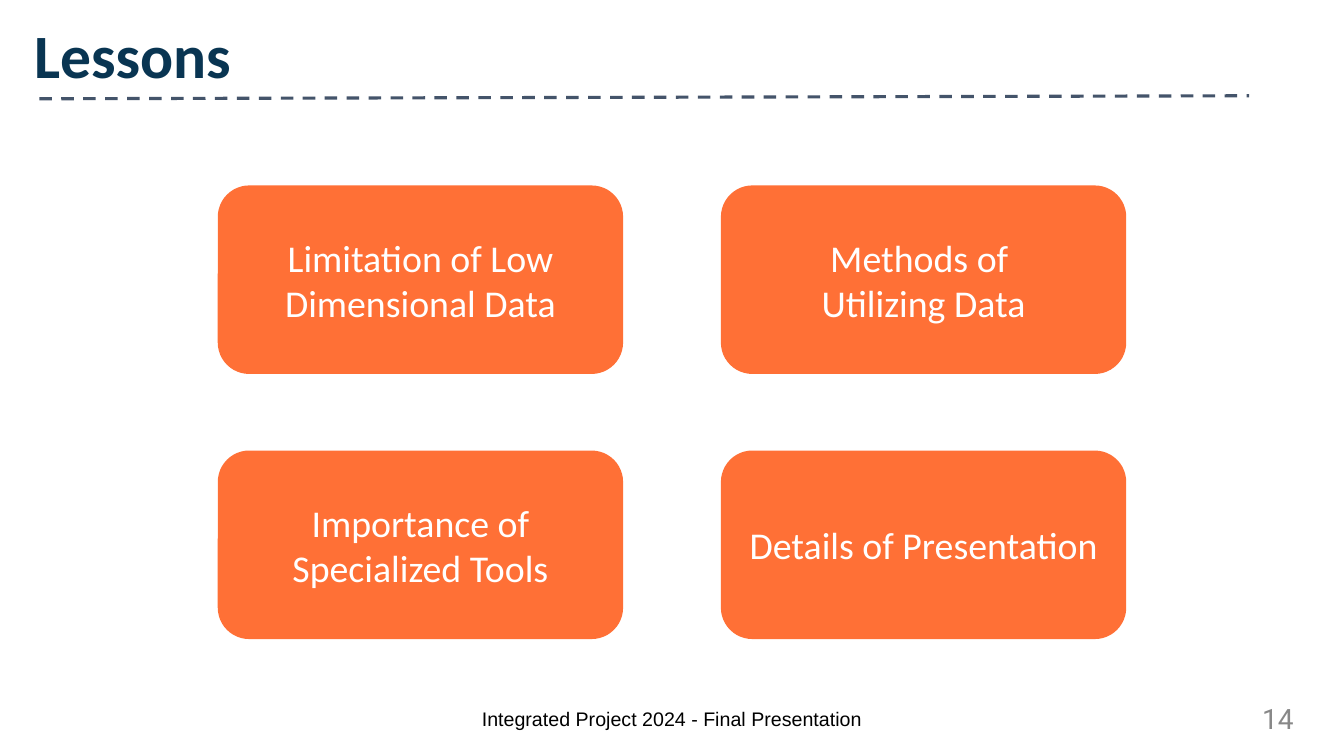
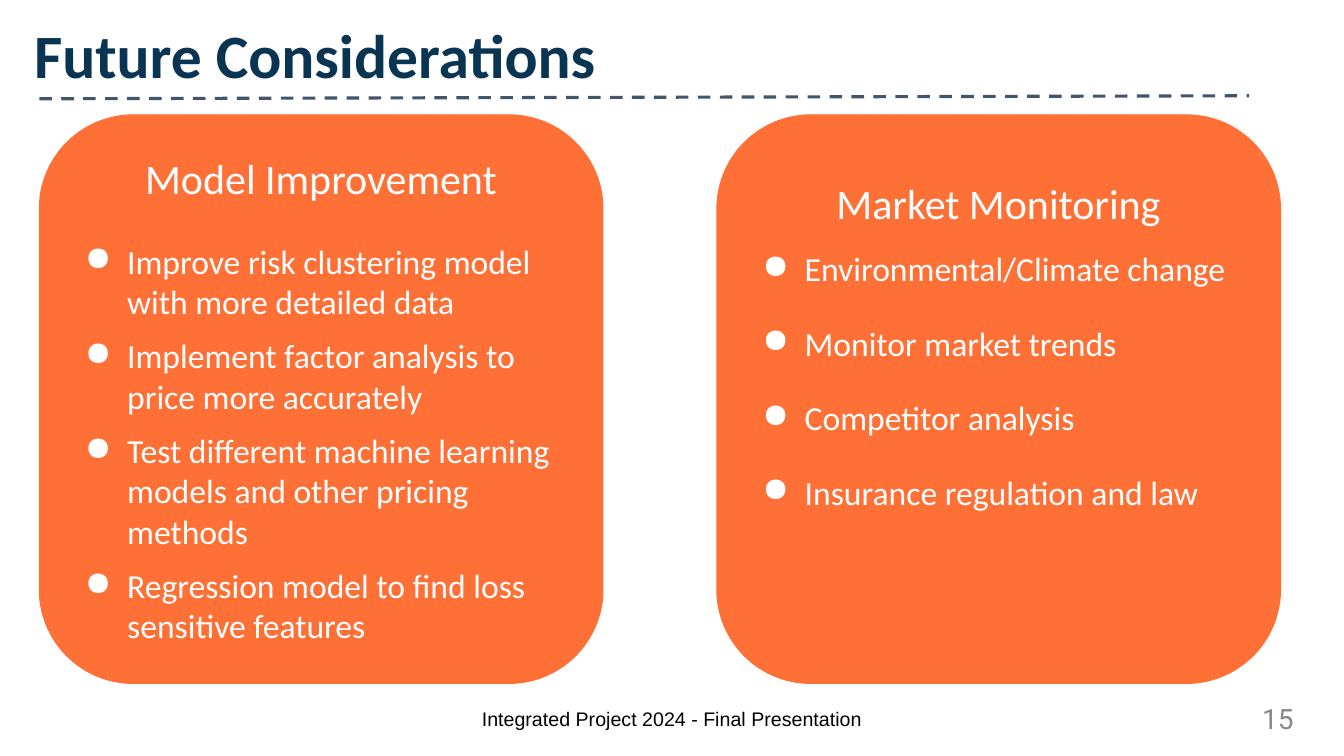
from lxml import etree
from pptx import Presentation
from pptx import util as u
from pptx.dml.color import RGBColor
from pptx.enum import dml, shapes, text
from pptx.oxml.ns import qn

PX = u.Inches(1) // 100
WIDTH, HEIGHT = 1333, 750
NAVY, SLATE, ORANGE = "093552", "44546A", "FF7036"
WHITE, BLACK, GREY = "FFFFFF", "000000", "888888"
BODY_FONT = "Calibri"
LEFT, CENTER, RIGHT = text.PP_ALIGN.LEFT, text.PP_ALIGN.CENTER, text.PP_ALIGN.RIGHT
FOOTER = "Integrated Project 2024 - Final Presentation"

LESSONS = [
    "Limitation of Low Dimensional Data",
    "Methods of \nUtilizing Data",
    "Importance of Specialized Tools",
    "Details of Presentation",
]
MODEL_POINTS = [
    "Improve risk clustering model with more detailed data",
    "Implement factor analysis to price more accurately",
    "Test different machine learning models and other pricing methods",
    "Regression model to find loss sensitive features",
]
MARKET_POINTS = [
    "Environmental/Climate change",
    "Monitor market trends",
    "Competitor analysis",
    "Insurance regulation and law",
]


def px(*lengths):
    return [u.Emu(length * PX) for length in lengths]


def color(value):
    return RGBColor.from_string(value)


def style(para, size, ink, align=LEFT, font=BODY_FONT, bold=False):
    para.alignment = align
    para.font.name = font
    para.font.size = u.Pt(size)
    para.font.bold = bold
    para.font.color.rgb = color(ink)


def add_bullet(para):
    """Give a paragraph a round white bullet with a hanging indent."""
    props = para._p.get_or_add_pPr()
    margin, hang = px(50, -42)
    props.set("marL", str(margin))
    props.set("indent", str(hang))
    tint = etree.SubElement(props, qn("a:buClr"))
    etree.SubElement(tint, qn("a:srgbClr")).set("val", WHITE)
    etree.SubElement(props, qn("a:buChar")).set("char", "●")


def add_label(page, area, words, size, ink, **look):
    frame = page.shapes.add_textbox(*px(*area)).text_frame
    frame.word_wrap = True
    frame.vertical_anchor = text.MSO_ANCHOR.MIDDLE
    frame.text = words
    para = frame.paragraphs[0]
    style(para, size, ink, **look)
    return para


def add_card(page, area, anchor):
    """Draw an orange rounded box and return it."""
    box = page.shapes.add_shape(shapes.MSO_SHAPE.ROUNDED_RECTANGLE, *px(*area))
    box.shadow.inherit = False
    box.fill.solid()
    box.fill.fore_color.rgb = color(ORANGE)
    box.line.fill.background()
    frame = box.text_frame
    frame.word_wrap = True
    frame.vertical_anchor = anchor
    frame.margin_left, frame.margin_top, frame.margin_right, frame.margin_bottom = px(10, 10, 10, 10)
    return box


def add_rule(page, start, end):
    rule = page.shapes.add_connector(shapes.MSO_CONNECTOR.STRAIGHT, *px(*start, *end))
    rule.line.color.rgb = color(SLATE)
    rule.line.width = u.Pt(2.25)
    rule.line.dash_style = dml.MSO_LINE.DASH
    etree.SubElement(rule._element.spPr, qn("a:effectLst"))


def add_page(deck, title, number):
    """Add a slide with the shared title, rule and footer."""
    page = deck.slides.add_slide(deck.slide_layouts[6])
    heading = add_label(page, (24, 27, 1267, 62), title, 44, NAVY, bold=True)
    heading.line_spacing = 0.9
    add_label(page, (403, 693, 527, 40), FOOTER, 14, BLACK, align=CENTER, font="Arial")
    add_rule(page, (39, 98), (1239, 95))
    add_label(page, (982, 693, 311, 40), str(number), 20, GREY, align=RIGHT, font="Roboto")
    return page


def add_lesson_grid(page, area, lessons, columns=2):
    left, top, width, height = area
    card_width, card_height = 402, 187
    rows = len(lessons) // columns
    step_x = (width - card_width) // (columns - 1)
    step_y = (height - card_height) // (rows - 1)
    for index, lesson in enumerate(lessons):
        row, column = divmod(index, columns)
        spot = (left + column * step_x, top + row * step_y, card_width, card_height)
        frame = add_card(page, spot, text.MSO_ANCHOR.MIDDLE).text_frame
        frame.text = lesson
        for para in frame.paragraphs:
            style(para, 27, WHITE, CENTER)


def add_topic(page, area, heading, points, spacing, heading_gap):
    """Draw a card with a centred heading above a bulleted list."""
    box = add_card(page, area, text.MSO_ANCHOR.TOP)
    box.line.color.rgb = color(ORANGE)
    box.line.width = u.Pt(0.75)
    frame = box.text_frame
    frame.text = "\n".join([heading, *points])
    first, *items = frame.paragraphs
    style(first, 30, WHITE, CENTER)
    first.space_after = u.Pt(heading_gap)
    for item in items:
        add_bullet(item)
        style(item, 24, WHITE)
    for item in items[1:]:
        item.space_before = u.Pt(10)
    items[-1].space_after = u.Pt(10)
    for para in frame.paragraphs:
        para.line_spacing = spacing


def main():
    deck = Presentation()
    deck.slide_width, deck.slide_height = px(WIDTH, HEIGHT)

    page = add_page(deck, "Lessons", 14)
    add_lesson_grid(page, (216, 184, 901, 450), LESSONS)

    page = add_page(deck, "Future Considerations", 15)
    add_topic(page, (39, 114, 559, 564), "Model Improvement", MODEL_POINTS, 1.0, 27)
    add_topic(page, (711, 114, 559, 564), "Market Monitoring", MARKET_POINTS, 1.5, 0)

    deck.save("out.pptx")


if __name__ == "__main__":
    main()
